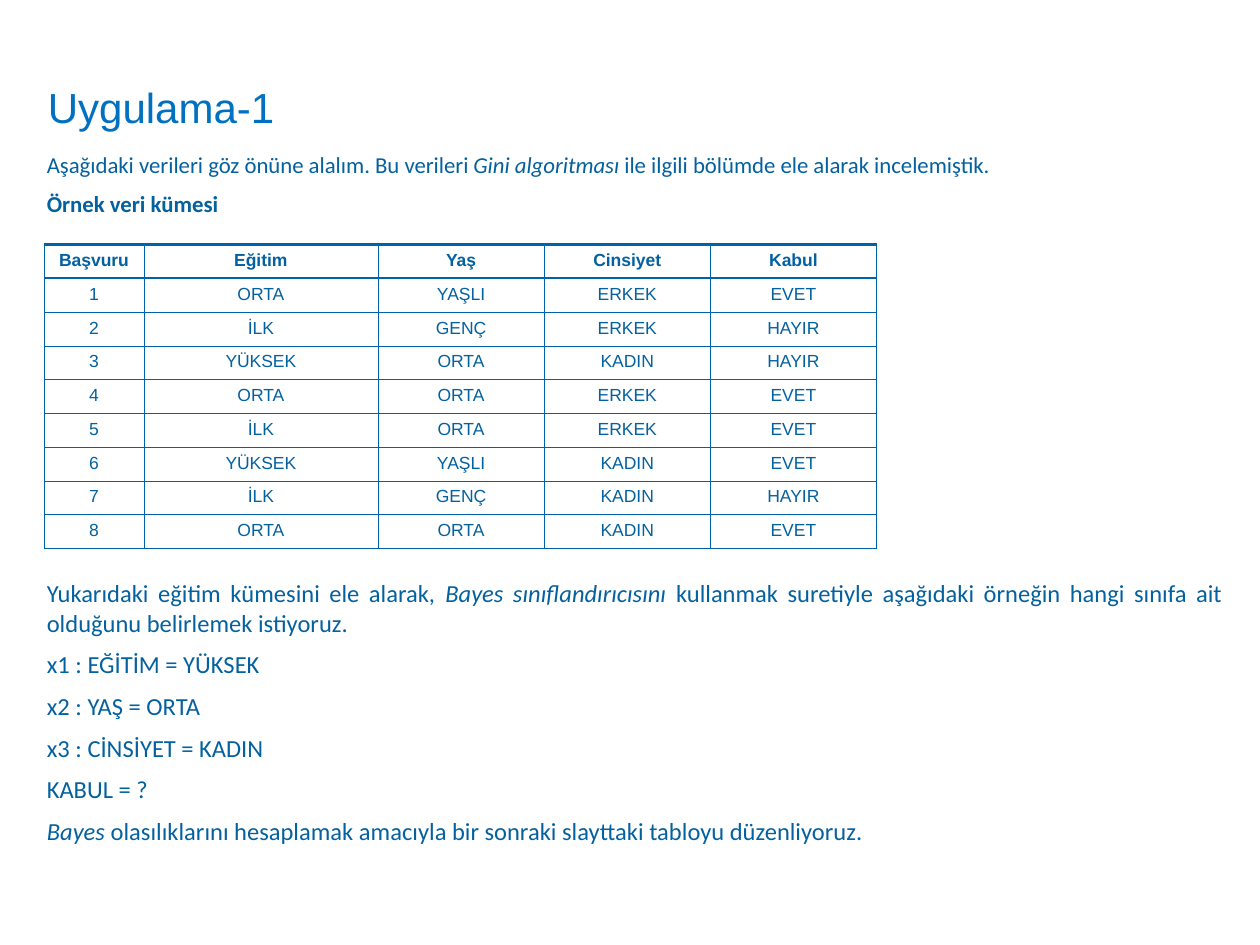
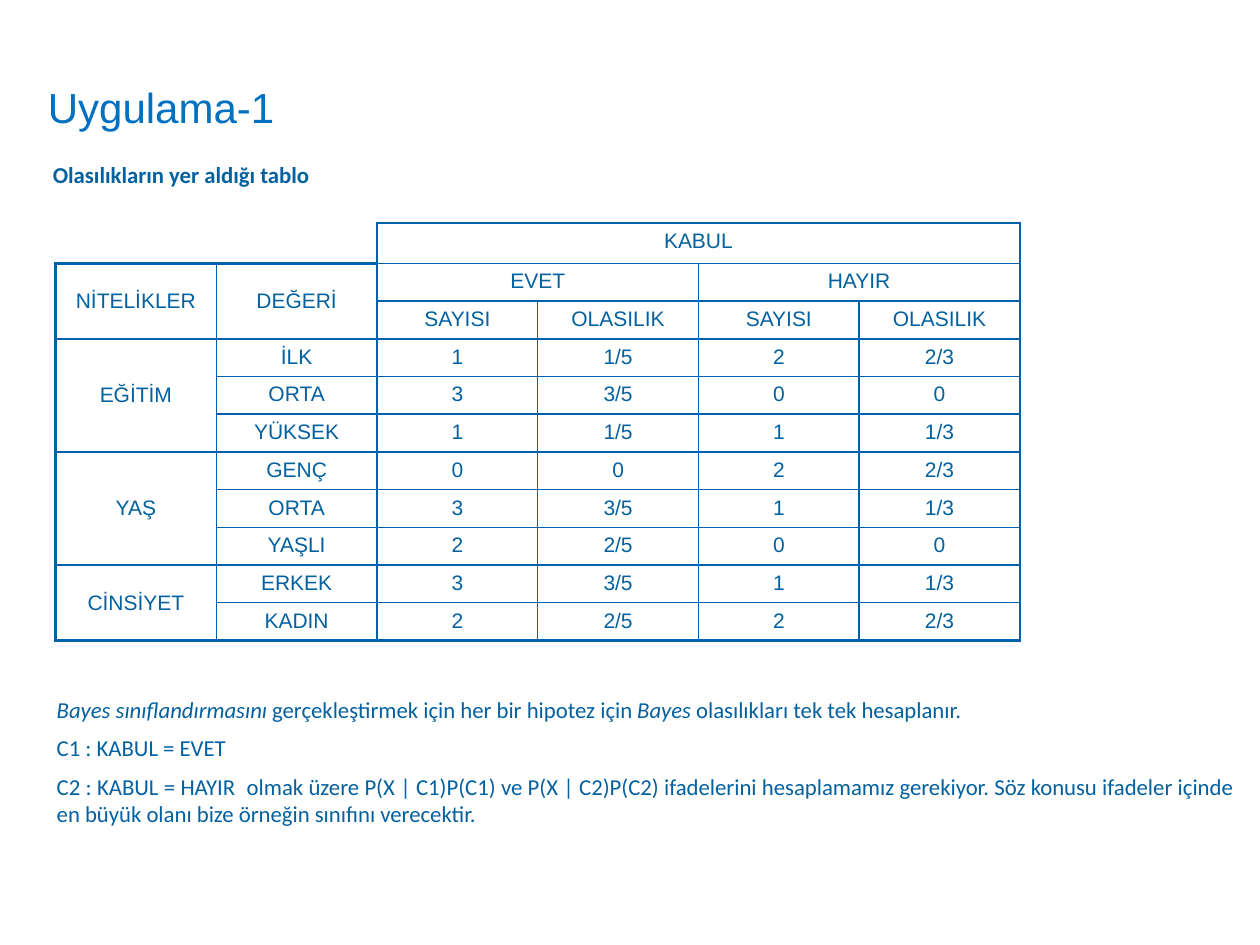
from lxml import etree
from pptx import Presentation
from pptx import util as u
from pptx.dml.color import RGBColor
from pptx.enum import text as t
from pptx.oxml import ns

AZURE = RGBColor(0x00, 0x70, 0xC0)
INK = RGBColor(0x04, 0x61, 0xA0)
EDGE = RGBColor(0x00, 0x62, 0xAC)
HEAD = {"name": "Arial", "size": u.Pt(24), "color": AZURE}
LEFT, MID, JUST = t.PP_ALIGN.LEFT, t.PP_ALIGN.CENTER, t.PP_ALIGN.JUSTIFY
FRAME = {"word_wrap": True, "auto_size": t.MSO_AUTO_SIZE.NONE,
         "vertical_anchor": t.MSO_ANCHOR.TOP}


def add_run(par, words, look):
    run = par.add_run()
    run.text = words
    for key, val in look.items():
        if key == "color":
            run.font.color.rgb = val
        else:
            setattr(run.font, key, val)


def fill_box(box, area, pars, look, align):
    """Place a placeholder and write its paragraphs of (words, style) runs."""
    for key, val in zip(("left", "top", "width", "height"), area):
        setattr(box, key, u.Cm(val))
    frame = box.text_frame
    for key, val in FRAME.items():
        setattr(frame, key, val)
    for i, runs in enumerate(pars):
        par = frame.add_paragraph() if i else frame.paragraphs[0]
        ppr = par._p.get_or_add_pPr()
        ppr.set("marL", "0")
        ppr.set("indent", "0")
        etree.SubElement(ppr, ns.qn("a:buNone"))
        if any("\t" in words for words, _ in runs):
            tabs = etree.SubElement(ppr, ns.qn("a:tabLst"))
            etree.SubElement(tabs, ns.qn("a:tab"), pos=str(u.Cm(4.4)), algn="l")
        par.alignment = align
        par.space_before = int(look["size"] / 2) if i else u.Pt(0)
        for words, style in runs:
            add_run(par, words, {**look, "bold": style == "b", "italic": style == "i"})


# Slide content
pages = [
    {
        "size": (13, 14),
        "areas": [(0.69, 2.92, 24.21, 1.65), (0.69, 11.53, 24.21, 5.94)],
        "texts": [
            [
                [("Aşağıdaki verileri göz önüne alalım. Bu verileri ", ""),
                 ("Gini algoritması ", "i"),
                 ("ile ilgili bölümde ele alarak incelemiştik.", "")],
                [("Örnek veri kümesi", "b")],
            ],
            [
                [("Yukarıdaki eğitim kümesini ele alarak, ", ""),
                 ("Bayes sınıflandırıcısını ", "i"),
                 ("kullanmak suretiyle aşağıdaki örneğin hangi sınıfa ait "
                  "olduğunu belirlemek istiyoruz.", "")],
                [("x1 : EĞİTİM = YÜKSEK", "")],
                [("x2 : YAŞ = ORTA", "")],
                [("x3 : CİNSİYET = KADIN", "")],
                [("KABUL = ?", "")],
                [("Bayes", "i"),
                 (" olasılıklarını hesaplamak amacıyla bir sonraki slayttaki "
                  "tabloyu düzenliyoruz.", "")],
            ],
        ],
        "table": {
            "at": (0.89, 4.93), "font": 10, "bold": True,
            "cols": [2.01, 4.72] + [3.35] * 3, "rows": [0.68] * 9,
            "hor": [1.5, 1.5] + [0.25] * 7 + [0.5],
            "ver": [0.5] + [0.25] * 4 + [0.5],
            "odd": {}, "merge": [],
            "data": [
                ["Başvuru", "Eğitim", "Yaş", "Cinsiyet", "Kabul"],
                ["1", "ORTA", "YAŞLI", "ERKEK", "EVET"],
                ["2", "İLK", "GENÇ", "ERKEK", "HAYIR"],
                ["3", "YÜKSEK", "ORTA", "KADIN", "HAYIR"],
                ["4", "ORTA", "ORTA", "ERKEK", "EVET"],
                ["5", "İLK", "ORTA", "ERKEK", "EVET"],
                ["6", "YÜKSEK", "YAŞLI", "KADIN", "EVET"],
                ["7", "İLK", "GENÇ", "KADIN", "HAYIR"],
                ["8", "ORTA", "ORTA", "KADIN", "EVET"],
            ],
        },
    },
    {
        "size": (13, 13),
        "areas": [(0.81, 3.12, 24.21, 0.81), (0.89, 13.89, 24.21, 3.02)],
        "texts": [
            [[("Olasılıkların yer aldığı tablo", "b")]],
            [
                [("Bayes sınıflandırmasını ", "i"),
                 ("gerçekleştirmek için her bir hipotez için ", ""),
                 ("Bayes", "i"),
                 (" olasılıkları tek tek hesaplanır.", "")],
                [("C1 : KABUL = EVET", "")],
                [("C2 : KABUL = HAYIR\tolmak üzere P(X | C1)P(C1) ve P(X | C2)P(C2) "
                  "ifadelerini hesaplamamız gerekiyor. Söz konusu ifadeler içinde en "
                  "büyük olanı bize örneğin sınıfını verecektir.", "")],
            ],
        ],
        "table": {
            "at": (1.12, 4.5), "font": 12, "bold": False,
            "cols": [3.24] * 6, "rows": [0.81] + [0.76] * 10,
            "hor": [1.5] + [1] * 10 + [1.5],
            "ver": [1.5] + [1] * 5 + [1.5],
            # The blank corner has no outer lines
            "odd": {
                **dict.fromkeys([(0, 0), (0, 1)], {"L": 0, "T": 0, "R": 1.5, "B": 1.5}),
                **dict.fromkeys([(1, 0), (1, 1)], {"T": 1.5}),
                (0, 2): {"L": 1.5},
            },
            "merge": [(0, 0, 0, 1), (0, 2, 0, 5), (1, 0, 2, 0), (1, 1, 2, 1),
                      (1, 2, 1, 3), (1, 4, 1, 5), (3, 0, 5, 0), (6, 0, 8, 0),
                      (9, 0, 10, 0)],
            "data": [
                ["", "", "KABUL", "", "", ""],
                ["NİTELİKLER", "DEĞERİ", "EVET", "", "HAYIR", ""],
                ["", "", "SAYISI", "OLASILIK", "SAYISI", "OLASILIK"],
                ["EĞİTİM", "İLK", "1", "1/5", "2", "2/3"],
                ["", "ORTA", "3", "3/5", "0", "0"],
                ["", "YÜKSEK", "1", "1/5", "1", "1/3"],
                ["YAŞ", "GENÇ", "0", "0", "2", "2/3"],
                ["", "ORTA", "3", "3/5", "1", "1/3"],
                ["", "YAŞLI", "2", "2/5", "0", "0"],
                ["CİNSİYET", "ERKEK", "3", "3/5", "1", "1/3"],
                ["", "KADIN", "2", "2/5", "2", "2/3"],
            ],
        },
    },
]

deck = Presentation()
deck.slide_width, deck.slide_height = u.Cm(25.4), u.Cm(19.05)

for page in pages:
    # Title and the texts above and below the table
    slide = deck.slides.add_slide(deck.slide_layouts[3])
    fill_box(slide.shapes.title, (0.71, 1.52, 23.22, 1.27),
             [[("Uygulama-1", "")]], HEAD, LEFT)
    for i, (size, area, pars) in enumerate(zip(page["size"], page["areas"], page["texts"])):
        look = {"name": "Calibri", "size": u.Pt(size), "color": INK}
        fill_box(slide.placeholders[i + 1], area, pars, look, JUST)

    # Table grid
    plan = page["table"]
    cols, rows = plan["cols"], plan["rows"]
    x, y = plan["at"]
    grid = slide.shapes.add_table(len(rows), len(cols), u.Cm(x), u.Cm(y),
                                  u.Cm(sum(cols)), u.Cm(sum(rows))).table
    grid.first_row = grid.horz_banding = False
    for col, wide in zip(grid.columns, cols):
        col.width = u.Cm(wide)
    for row, high in zip(grid.rows, rows):
        row.height = u.Cm(high)
    for top, left, low, right in plan["merge"]:
        grid.cell(top, left).merge(grid.cell(low, right))

    # Cell text and borders
    hor, ver = plan["hor"], plan["ver"]
    for r, line in enumerate(plan["data"]):
        for c, words in enumerate(line):
            cell = grid.cell(r, c)
            tall = cell.span_height > 1
            cell.vertical_anchor = t.MSO_ANCHOR.MIDDLE if tall else t.MSO_ANCHOR.TOP
            par = cell.text_frame.paragraphs[0]
            par.alignment = MID
            if words:
                add_run(par, words, {"name": "Arial", "size": u.Pt(plan["font"]),
                                     "color": INK, "bold": plan["bold"] and r == 0})
            etree.SubElement(par._p, ns.qn("a:endParaRPr"), sz=str(plan["font"] * 100))
            pens = {"L": ver[c], "R": ver[c + cell.span_width],
                    "T": hor[r], "B": hor[r + cell.span_height]}
            pens.update(plan["odd"].get((r, c), {}))
            props = cell._tc.get_or_add_tcPr()
            for side in "LRTB":
                pen = etree.SubElement(props, ns.qn("a:ln" + side), w=str(u.Pt(pens[side])))
                if pens[side]:
                    fill = etree.SubElement(pen, ns.qn("a:solidFill"))
                    etree.SubElement(fill, ns.qn("a:srgbClr"), val=str(EDGE))
                else:
                    etree.SubElement(pen, ns.qn("a:noFill"))
            cell.fill.background()

deck.save("out.pptx")
